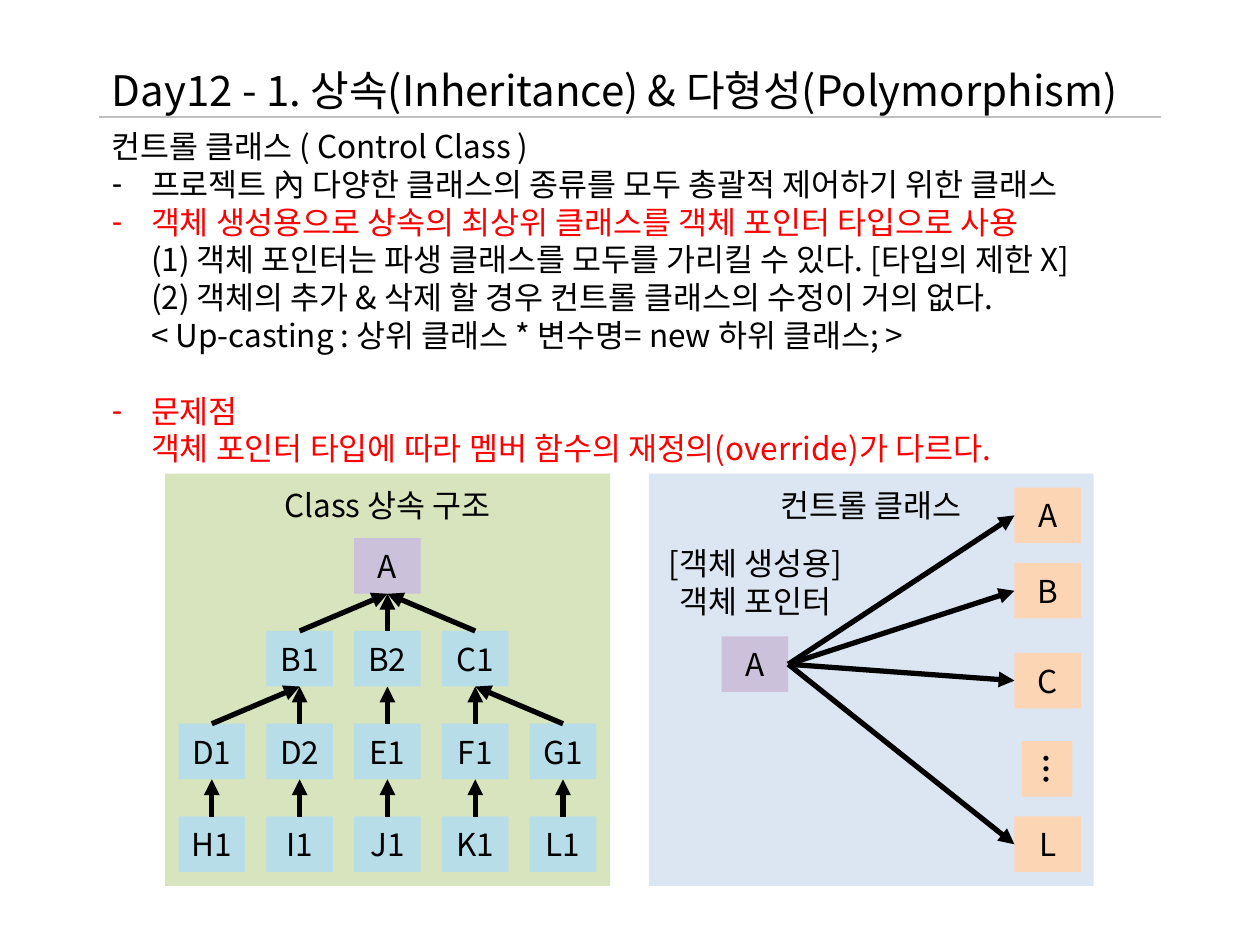
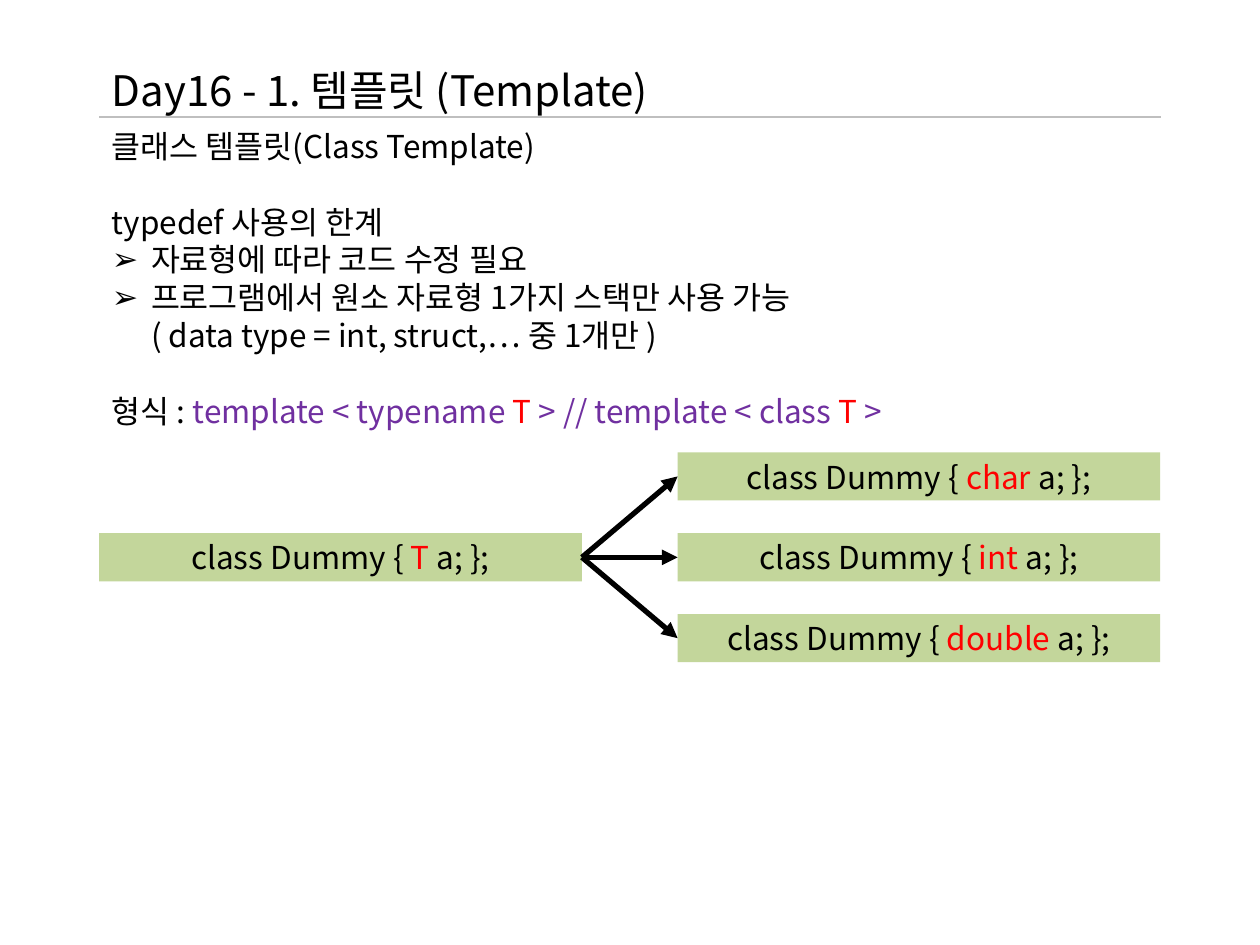
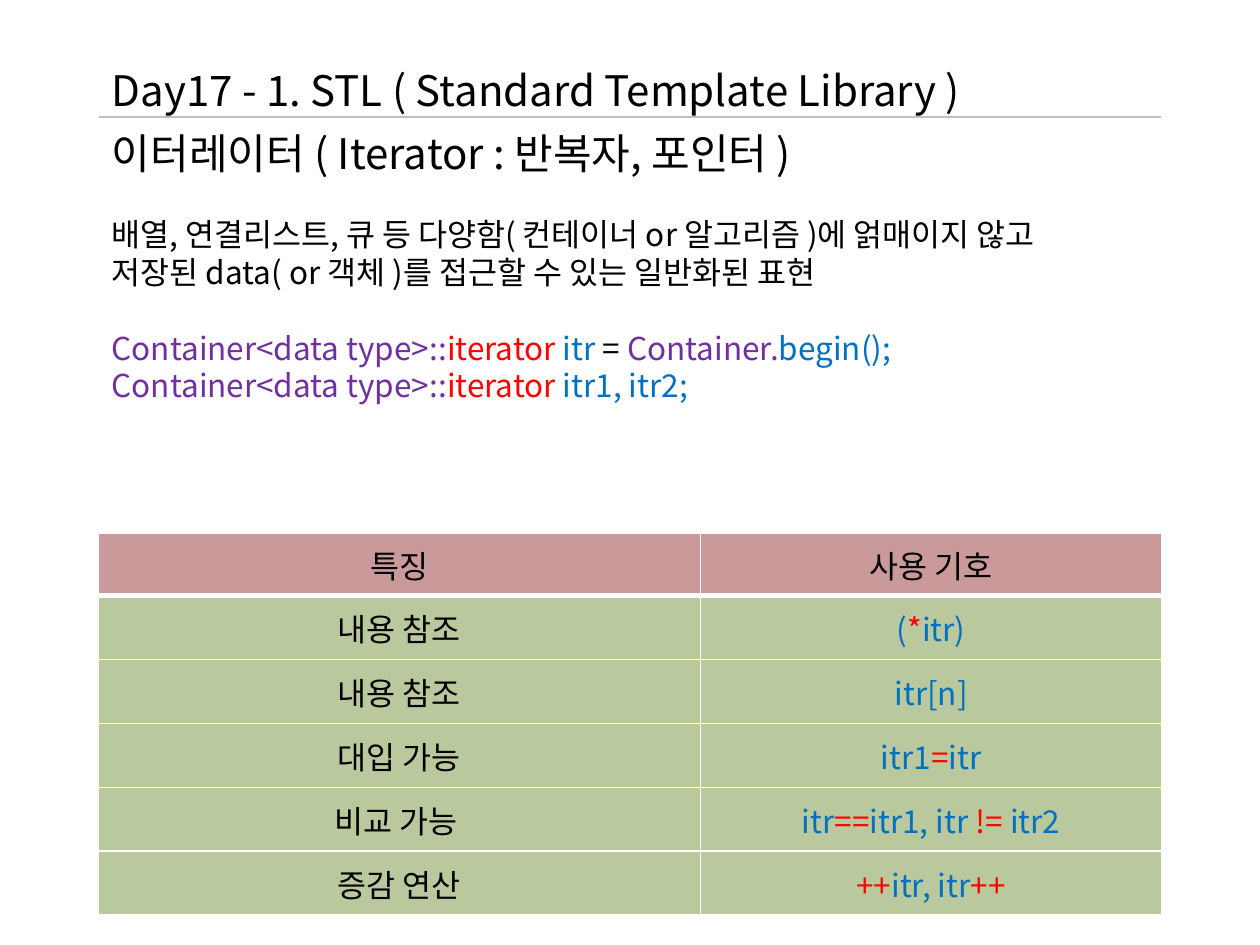
from typing import NamedTuple

from lxml.etree import SubElement
from pptx import Presentation
from pptx.dml.color import RGBColor
from pptx.enum.shapes import MSO_CONNECTOR, MSO_SHAPE
from pptx.enum.text import MSO_ANCHOR, MSO_AUTO_SIZE, PP_ALIGN
from pptx.oxml.ns import qn
from pptx.util import Cm, Pt

# Shared style
FONT = "Noto Sans CJK KR"
TITLE_SIZE, TEXT_SIZE = 24, 18
LINE_RATIO = 1.2
BLANK_LINE = Pt(TEXT_SIZE * LINE_RATIO)
BLACK = RGBColor(0x00, 0x00, 0x00)
WHITE = RGBColor(0xFF, 0xFF, 0xFF)
RED = RGBColor(0xFF, 0x00, 0x00)
PURPLE = RGBColor(0x70, 0x30, 0xA0)
BLUE = RGBColor(0x00, 0x70, 0xC0)
RULE_GRAY = RGBColor(0xBF, 0xBF, 0xBF)
PANEL_GREEN = RGBColor(0xD7, 0xE4, 0xBD)
PANEL_BLUE = RGBColor(0xDC, 0xE6, 0xF2)
ROOT_LILAC = RGBColor(0xCC, 0xC1, 0xDA)
CLASS_AQUA = RGBColor(0xB7, 0xDE, 0xE8)
OBJECT_PEACH = RGBColor(0xFC, 0xD5, 0xB5)
CODE_GREEN = RGBColor(0xC3, 0xD6, 0x9B)
HEADER_RED = RGBColor(0x95, 0x37, 0x35)
ROW_GREEN = RGBColor(0x77, 0x93, 0x3C)

# Shared measures, in centimetres
LEFT, RIGHT = 2.0, 23.4
TITLE_TOP, RULE_Y = 1.09, 2.36
HANG = 0.79
NODE_W, NODE_H = 1.34, 1.12
PANEL_TOP, PANEL_W, PANEL_H = 9.55, 8.97, 8.31
TOP, LEFT_SIDE, BOTTOM, RIGHT_SIDE = range(4)


class Item(NamedTuple):
    """A body paragraph; content is a string or (text, colour) spans."""
    content: object
    bullet: str = ""
    size: int = TEXT_SIZE
    gap: bool = False


# Text
def style_run(run, size, color, bold=False):
    run.font.size = Pt(size)
    run.font.bold = bold
    run.font.color.rgb = color
    run.font.name = FONT
    SubElement(run.font._element, qn("a:ea")).set("typeface", FONT)


def write(paragraph, content, size=TEXT_SIZE, align=PP_ALIGN.LEFT, bold=False):
    paragraph.alignment = align
    spans = [(content, BLACK)] if isinstance(content, str) else content
    for text, color in spans:
        for number, line in enumerate(text.split("\v")):
            if number:
                paragraph.add_line_break()
            run = paragraph.add_run()
            run.text = line
            style_run(run, size, color, bold)


def set_exact_lines(paragraph, size):
    paragraph.line_spacing = Pt(size * LINE_RATIO)
    paragraph.space_before = Pt(0)


def set_bullet(paragraph, bullet):
    properties = paragraph._p.get_or_add_pPr()
    hang = Cm(HANG) if bullet else 0
    properties.set("marL", str(hang))
    properties.set("indent", str(-hang))
    if bullet:
        SubElement(properties, qn("a:buChar")).set("char", bullet)
    else:
        SubElement(properties, qn("a:buNone"))


def place(placeholder, top, width, height):
    placeholder.left, placeholder.top = Cm(LEFT), Cm(top)
    placeholder.width, placeholder.height = Cm(width), Cm(height)
    frame = placeholder.text_frame
    frame.auto_size = MSO_AUTO_SIZE.NONE
    frame.vertical_anchor = MSO_ANCHOR.TOP
    frame.margin_top = Cm(0.2)
    return frame


# Slide frame: title, rule and body list
def add_topic_slide(prs, heading, items, body_height):
    slide = prs.slides.add_slide(prs.slide_layouts[1])
    title = place(slide.shapes.title, TITLE_TOP, 21.69, 1.27).paragraphs[0]
    write(title, heading, TITLE_SIZE)
    set_exact_lines(title, TITLE_SIZE)

    rule = slide.shapes.add_connector(
        MSO_CONNECTOR.STRAIGHT, Cm(LEFT), Cm(RULE_Y), Cm(RIGHT), Cm(RULE_Y))
    style_line(rule, RULE_GRAY, 0.75)

    body = place(slide.placeholders[1], RULE_Y, RIGHT - LEFT, body_height)
    for number, item in enumerate(items):
        paragraph = body.add_paragraph() if number else body.paragraphs[0]
        set_bullet(paragraph, item.bullet)
        write(paragraph, item.content, item.size)
        set_exact_lines(paragraph, item.size)
        if item.gap:
            paragraph.space_before = BLANK_LINE
    return slide


# Diagram parts
def style_line(connector, color, width):
    connector.line.color.rgb = color
    connector.line.width = Pt(width)
    SubElement(connector._element.spPr, qn("a:effectLst"))


def add_box(shapes, content, left, top, width, height, fill, bold=False):
    box = shapes.add_shape(
        MSO_SHAPE.RECTANGLE, Cm(left), Cm(top), Cm(width), Cm(height))
    box.shadow.inherit = False
    box.fill.solid()
    box.fill.fore_color.rgb = fill
    box.line.fill.background()
    frame = box.text_frame
    frame.margin_left = frame.margin_right = 0
    frame.margin_top = frame.margin_bottom = 0
    frame.vertical_anchor = MSO_ANCHOR.MIDDLE
    write(frame.paragraphs[0], content, align=PP_ALIGN.CENTER, bold=bold)
    return box


def add_node(shapes, name, left, top, fill):
    return add_box(shapes, name, left, top, NODE_W, NODE_H, fill)


def add_panel(shapes, caption, left, fill):
    panel = add_box(shapes, caption, left, PANEL_TOP, PANEL_W, PANEL_H, fill)
    panel.text_frame.vertical_anchor = MSO_ANCHOR.TOP
    panel.text_frame.margin_top = Cm(0.25)


def add_arrow(shapes, source, source_side, target, target_side):
    arrow = shapes.add_connector(MSO_CONNECTOR.STRAIGHT, 0, 0, 0, 0)
    arrow.begin_connect(source, source_side)
    arrow.end_connect(target, target_side)
    style_line(arrow, BLACK, 3)
    line = arrow._element.spPr.find(qn("a:ln"))
    SubElement(line, qn("a:tailEnd")).set("type", "triangle")


def add_class_tree(slide):
    shapes = slide.shapes.add_group_shape().shapes
    add_panel(shapes, "Class 상속 구조", 3.33, PANEL_GREEN)
    # Each level: class -> (column, parent)
    levels = [
        {"A": (2, None)},
        {"B1": (1, "A"), "B2": (2, "A"), "C1": (3, "A")},
        {"D1": (0, "B1"), "D2": (1, "B1"), "E1": (2, "B2"),
         "F1": (3, "C1"), "G1": (4, "C1")},
        {"H1": (0, "D1"), "I1": (1, "D2"), "J1": (2, "E1"),
         "K1": (3, "F1"), "L1": (4, "G1")},
    ]
    nodes = {}
    for depth, level in enumerate(levels):
        for name, (column, parent) in level.items():
            nodes[name] = add_node(
                shapes, name, 3.6 + 1.77 * column, 10.85 + 1.87 * depth,
                CLASS_AQUA if parent else ROOT_LILAC)
            if parent:
                add_arrow(shapes, nodes[name], TOP, nodes[parent], BOTTOM)


def add_control_class(slide):
    shapes = slide.shapes.add_group_shape().shapes
    add_panel(shapes, "컨트롤 클래스", 13.08, PANEL_BLUE)
    pointer = add_node(shapes, "A", 14.55, 12.83, ROOT_LILAC)

    pointer_label = shapes.add_textbox(Cm(12.9), Cm(10.85), Cm(4.65), Cm(1.8))
    pointer_label.text_frame.word_wrap = True
    paragraph = pointer_label.text_frame.paragraphs[0]
    write(paragraph, "[객체 생성용] 객체 포인터", align=PP_ALIGN.CENTER)
    set_exact_lines(paragraph, TEXT_SIZE)

    for name, top in [("A", 9.83), ("B", 11.35), ("C", 13.16), ("L", 16.46)]:
        target = add_node(shapes, name, 20.45, top, OBJECT_PEACH)
        add_arrow(shapes, pointer, RIGHT_SIDE, target, LEFT_SIDE)
    more = add_box(shapes, "…", 20.55, 14.99, NODE_H, 1.02, OBJECT_PEACH, True)
    more.rotation = 90


def add_template_diagram(slide):
    def add_dummy(type_name, left, top):
        code = [("class Dummy { ", BLACK), (type_name, RED), (" a; };", BLACK)]
        return add_box(slide.shapes, code, left, top, 9.73, 0.97, CODE_GREEN)

    template = add_dummy("T", LEFT, 10.75)
    for row, type_name in enumerate(["char", "int", "double"]):
        instance = add_dummy(type_name, 13.66, 9.12 + 1.63 * row)
        add_arrow(slide.shapes, template, RIGHT_SIDE, instance, LEFT_SIDE)


# Table
def set_borders(cell, top, bottom):
    properties = cell._tc.get_or_add_tcPr()
    widths = {"a:lnL": 1, "a:lnR": 1, "a:lnT": top, "a:lnB": bottom}
    for position, (side, width) in enumerate(widths.items()):
        border = SubElement(properties, qn(side), w=str(Pt(width)))
        fill = SubElement(border, qn("a:solidFill"))
        SubElement(fill, qn("a:srgbClr"), val=str(WHITE))
        properties.insert(position, border)


def fill_half(cell, color):
    cell.fill.solid()
    cell.fill.fore_color.rgb = color
    tint = cell._tc.tcPr.find(".//" + qn("a:srgbClr"))
    SubElement(tint, qn("a:alpha"), val="50000")


def add_operator_table(slide, rows):
    table = slide.shapes.add_table(
        len(rows), 2, Cm(1.98), Cm(10.75), Cm(21.44), Cm(7.7)).table
    table.horz_banding = False
    table.columns[0].width, table.columns[1].width = Cm(12.14), Cm(9.3)
    for number, row in enumerate(rows):
        table.rows[number].height = Cm(1.29 if number else 1.25)
        for column, content in enumerate(row):
            cell = table.cell(number, column)
            cell.vertical_anchor = MSO_ANCHOR.MIDDLE
            write(cell.text_frame.paragraphs[0], content,
                  align=PP_ALIGN.CENTER)
            fill_half(cell, ROW_GREEN if number else HEADER_RED)
            set_borders(cell, top=3 if number == 1 else 1,
                        bottom=1 if number else 3)


def main():
    prs = Presentation()
    prs.slide_width, prs.slide_height = Cm(25.4), Cm(19.05)

    # Inheritance and polymorphism
    inheritance = add_topic_slide(
        prs, "Day12 - 1. 상속(Inheritance) & 다형성(Polymorphism)", [
            Item("컨트롤 클래스 ( Control Class )"),
            Item("프로젝트 內 다양한 클래스의 종류를 모두 총괄적 제어하기 위한 클래스",
                 "-"),
            Item([("객체 생성용으로 상속의 최상위 클래스를 객체 포인터 타입으로 사용\v",
                   RED),
                  ("(1) 객체 포인터는 파생 클래스를 모두를 가리킬 수 있다. "
                   "[타입의 제한 X]\v"
                   "(2) 객체의 추가 & 삭제 할 경우 컨트롤 클래스의 수정이 "
                   "거의 없다.\v"
                   "< Up-casting : 상위 클래스 * 변수명= new 하위 클래스; >",
                   BLACK)], "-"),
            Item([("문제점\v객체 포인터 타입에 따라 멤버 함수의 "
                   "재정의(override)가 다르다.", RED)], "-", gap=True),
        ], 7.19)
    add_class_tree(inheritance)
    add_control_class(inheritance)

    # Class template
    template = add_topic_slide(prs, "Day16 - 1. 템플릿 (Template)", [
        Item("클래스 템플릿(Class Template)"),
        Item("typedef 사용의 한계", gap=True),
        Item("자료형에 따라 코드 수정 필요", "➢"),
        Item("프로그램에서 원소 자료형 1가지 스택만 사용 가능\v"
             "( data type = int, struct,… 중 1개만 )", "➢"),
        Item([("형식 : ", BLACK), ("template < typename ", PURPLE), ("T", RED),
              (" > // template < class ", PURPLE), ("T", RED),
              (" >", PURPLE)], gap=True),
    ], 6.4)
    add_template_diagram(template)

    # Iterator
    iterator = add_topic_slide(
        prs, "Day17 - 1. STL ( Standard Template Library )", [
            Item("이터레이터 ( Iterator : 반복자, 포인터 )", size=TITLE_SIZE),
            Item("배열, 연결리스트, 큐 등 다양함( 컨테이너 or 알고리즘 )에 "
                 "얽매이지 않고", gap=True),
            Item("저장된 data( or 객체 )를 접근할 수 있는 일반화된 표현"),
            Item([("Container<data type>::", PURPLE), ("iterator ", RED),
                  ("itr", BLUE), (" = ", BLACK), ("Container.", PURPLE),
                  ("begin();", BLUE)], gap=True),
            Item([("Container<data type>::", PURPLE), ("iterator", RED),
                  (" itr1, itr2;", BLUE)]),
        ], 5.89)
    add_operator_table(iterator, [
        ("특징", "사용 기호"),
        ("내용 참조", [("(", BLUE), ("*", RED), ("itr)", BLUE)]),
        ("내용 참조", [("itr[n]", BLUE)]),
        ("대입 가능", [("itr1", BLUE), ("=", RED), ("itr", BLUE)]),
        ("비교 가능 ", [("itr", BLUE), ("==", RED), ("itr1, itr ", BLUE),
                    ("!=", RED), (" itr2", BLUE)]),
        ("증감 연산", [("++", RED), ("itr, itr", BLUE), ("++", RED)]),
    ])

    prs.save("out.pptx")


if __name__ == "__main__":
    main()
